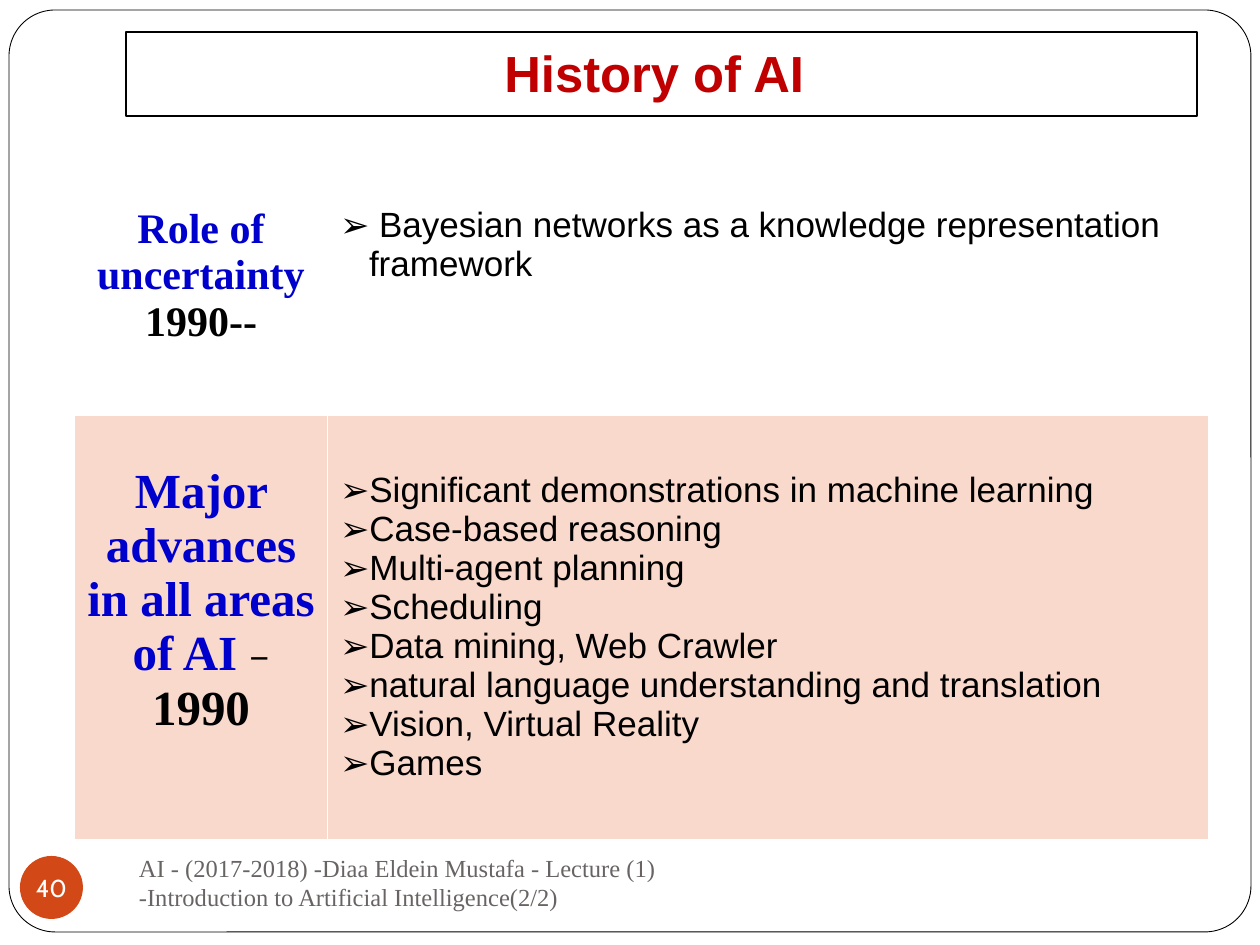
from pptx import Presentation
from pptx.dml.color import RGBColor
from pptx.enum.shapes import MSO_SHAPE
from pptx.enum.text import MSO_ANCHOR, MSO_AUTO_SIZE, PP_ALIGN
from pptx.oxml import parse_xml
from pptx.oxml.ns import nsdecls
from pptx.util import Pt

TITLE = "History of AI "
FOOTER = (
    "AI - (2017-2018) -Diaa Eldein Mustafa - Lecture (1) "
    "-Introduction to Artificial Intelligence(2/2)"
)
PAGE_NUMBER = "40"
ERAS = [
    {
        "label": [[("Role of uncertainty", "era", 24)], [("1990--", "ink", 24)]],
        "points": [" Bayesian networks as a knowledge representation framework"],
        "fill": "paper", "anchor": MSO_ANCHOR.TOP, "height": 215, "label_bottom": 6,
    },
    {
        "label": [
            [("Major advances in all areas of AI ", "era", 28), ("−", "ink", 20)],
            [("1990", "ink", 28)],
        ],
        "points": [
            "Significant demonstrations in machine learning",
            "Case-based reasoning",
            "Multi-agent planning",
            "Scheduling",
            "Data mining, Web Crawler",
            "natural language understanding and translation",
            "Vision, Virtual Reality",
            "Games",
        ],
        "fill": "band", "anchor": MSO_ANCHOR.MIDDLE, "height": 424, "label_bottom": 60,
    },
]
THEME = {
    "colors": {
        "paper": "FFFFFF", "ink": "000000", "title": "C00000", "era": "0000CC",
        "band": "FAD9CD", "badge": "D34817", "footer": "696464",
    },
    "fonts": {"sans": "Arial", "serif": "Times New Roman", "badge": "Cabin"},
    "sizes": {"title": 29, "points": 20, "small": 14},
}
PX = 914400 // 126
COLUMNS = [253, 881]
TABLE_LEFT, TABLE_TOP = 74, 200
BULLET_INDENT = 29


def px(*lengths):
    return [length * PX for length in lengths]


def color(name):
    return RGBColor.from_string(THEME["colors"][name])


def style(font, face, size, ink, bold=False):
    font.name = THEME["fonts"][face]
    font.size = Pt(size)
    font.color.rgb = color(ink)
    font.bold = bold


def set_insets(target, left, top, right, bottom):
    target.margin_left, target.margin_top, target.margin_right, target.margin_bottom = px(
        left, top, right, bottom
    )


def set_frame(frame, anchor, insets, wrap=True):
    frame.auto_size = MSO_AUTO_SIZE.NONE
    frame.word_wrap = wrap
    frame.vertical_anchor = anchor
    set_insets(frame, *insets)


def add_shape(page, kind, bounds, fill, line_width=None):
    shape = page.shapes.add_shape(kind, *px(*bounds))
    shape.shadow.inherit = False
    shape.fill.solid()
    shape.fill.fore_color.rgb = color(fill)
    if line_width:
        shape.line.color.rgb = color("ink")
        shape.line.width = Pt(line_width)
    else:
        shape.line.fill.background()
    return shape


def add_bullet(para):
    properties = para._p.get_or_add_pPr()
    properties.set("marL", str(BULLET_INDENT * PX))
    properties.set("indent", str(-BULLET_INDENT * PX))
    for body in (
        f'<a:buClr {nsdecls("a")}><a:srgbClr val="{THEME["colors"]["ink"]}"/></a:buClr>',
        f'<a:buFont {nsdecls("a")} typeface="{THEME["fonts"]["sans"]}"/>',
        f'<a:buChar {nsdecls("a")} char="➢"/>',
    ):
        properties.append(parse_xml(body))


def set_borders(cell, top, bottom):
    properties = cell._tc.get_or_add_tcPr()
    widths = {"lnL": 0.45, "lnR": 0.45, "lnT": top, "lnB": bottom}
    for index, (side, width) in enumerate(widths.items()):
        properties.insert(index, parse_xml(
            f'<a:{side} {nsdecls("a")} w="{Pt(width)}"><a:solidFill>'
            f'<a:srgbClr val="{THEME["colors"]["paper"]}"/></a:solidFill></a:{side}>'
        ))


def paragraphs(frame, items):
    for index, item in enumerate(items):
        yield (frame.add_paragraph() if index else frame.paragraphs[0]), item


def fill_label(frame, lines):
    for para, spans in paragraphs(frame, lines):
        para.alignment = PP_ALIGN.CENTER
        for text, ink, size in spans:
            span = para.add_run()
            span.text = text
            style(span.font, "serif", size, ink, bold=True)


def fill_points(frame, points):
    for para, text in paragraphs(frame, points):
        para.text = text
        add_bullet(para)
        style(para.font, "sans", THEME["sizes"]["points"], "ink")


def add_history(page):
    heights = [era["height"] for era in ERAS]
    table = page.shapes.add_table(
        len(ERAS), len(COLUMNS), *px(TABLE_LEFT, TABLE_TOP, sum(COLUMNS), sum(heights))
    ).table
    table.first_row = table.horz_banding = False
    for column, width in zip(table.columns, COLUMNS):
        column.width = width * PX
    for index, era in enumerate(ERAS):
        row = table.rows[index]
        row.height = era["height"] * PX
        label, points = row.cells
        fill_label(label.text_frame, era["label"])
        fill_points(points.text_frame, era["points"])
        for cell, side, bottom in ((label, 12, era["label_bottom"]), (points, 13, 6)):
            cell.vertical_anchor = era["anchor"]
            set_insets(cell, side, 6, side - 1, bottom)
            cell.fill.solid()
            cell.fill.fore_color.rgb = color(era["fill"])
            set_borders(
                cell,
                top=1.47 if index else 0.45,
                bottom=0.45 if index == len(ERAS) - 1 else 1.47,
            )


def add_title(page):
    title = page.shapes.title
    title.left, title.top, title.width, title.height = px(126, 32, 1071, 84)
    title.line.color.rgb = color("ink")
    title.line.width = Pt(0.75)
    set_frame(title.text_frame, MSO_ANCHOR.BOTTOM, (13, 6, 13, 13))
    para = title.text_frame.paragraphs[0]
    para.text = TITLE
    para.alignment = PP_ALIGN.CENTER
    style(para.font, "sans", THEME["sizes"]["title"], "title", bold=True)


def add_footer(page):
    box = page.shapes.add_textbox(*px(126, 851, 546, 63))
    set_frame(box.text_frame, MSO_ANCHOR.MIDDLE, (13, 6, 13, 6))
    para = box.text_frame.paragraphs[0]
    para.text = FOOTER
    style(para.font, "serif", THEME["sizes"]["small"], "footer")

    badge = add_shape(page, MSO_SHAPE.OVAL, (20, 856, 63, 63), "badge")
    set_frame(badge.text_frame, MSO_ANCHOR.MIDDLE, (0, 0, 0, 0), wrap=False)
    para = badge.text_frame.paragraphs[0]
    para.text = PAGE_NUMBER
    para.alignment = PP_ALIGN.CENTER
    style(para.font, "badge", THEME["sizes"]["small"], "paper")


def main():
    deck = Presentation()
    deck.slide_width, deck.slide_height = px(1260, 945)
    page = deck.slides.add_slide(deck.slide_layouts[5])
    border = add_shape(page, MSO_SHAPE.ROUNDED_RECTANGLE, (9, 10, 1242, 922), "paper", 0.5)
    border.adjustments[0] = 0.05
    page.shapes.title._element.addprevious(border._element)
    add_title(page)
    add_footer(page)
    add_history(page)
    deck.save("out.pptx")


if __name__ == "__main__":
    main()
